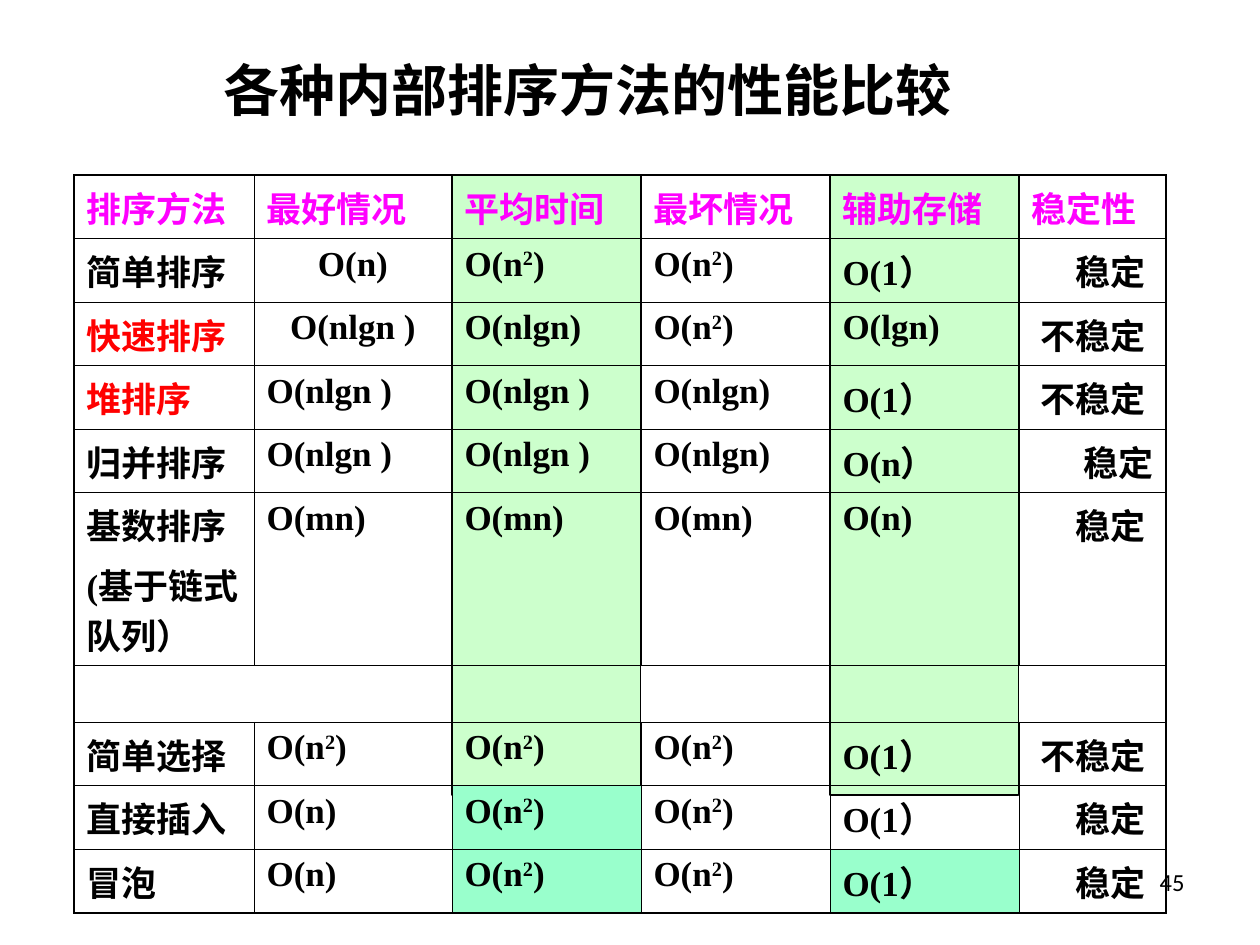
from lxml import etree
from pptx import Presentation
from pptx.dml.color import RGBColor
from pptx.enum.shapes import MSO_SHAPE
from pptx.enum.text import MSO_ANCHOR, PP_ALIGN
from pptx.oxml.ns import qn
from pptx.util import Cm, Pt

RECT = MSO_SHAPE.RECTANGLE
TOP, MIDDLE = MSO_ANCHOR.TOP, MSO_ANCHOR.MIDDLE
LEFT, CENTER, RIGHT = PP_ALIGN.LEFT, PP_ALIGN.CENTER, PP_ALIGN.RIGHT

BLACK, RED, MAGENTA = "000000", "FF0000", "FF00FF"
PALE_GREEN, MINT = "CCFFCC", "99FFCC"
THIN, THICK = 0.45, 1.08

TABLE_LEFT, TABLE_TOP = 1.49, 3.53
COLS = [3.63, 3.99, 3.81, 3.81, 3.81, 2.97]
ROWS = [1.28] * 5 + [3.49, 1.14] + [1.28] * 3
BAND_COLS, BAND_HEIGHT = (4, 2), 12.5
GAP_ROW = 6

# "^" marks the next character as superscript
METHODS = [
    ["排序方法", "最好情况", "平均时间", "最坏情况", "辅助存储", "稳定性"],
    ["简单排序", "O(n)", "O(n^2)", "O(n^2)", "O(1）", "稳定 "],
    ["快速排序", "O(nlgn )", "O(nlgn)", "O(n^2)", "O(lgn)", "不稳定 "],
    ["堆排序", "O(nlgn )", "O(nlgn )", "O(nlgn)", "O(1）", "不稳定 "],
    ["归并排序", "O(nlgn )", "O(nlgn )", "O(nlgn)", "O(n）", "稳定"],
    ["基数排序\n(基于链式队列）", "O(mn)", "O(mn)", "O(mn)", "O(n)", "稳定 "],
    [""] * 6,
    ["简单选择", "O(n^2)", "O(n^2)", "O(n^2)", "O(1）", "不稳定 "],
    ["直接插入", "O(n)", "O(n^2)", "O(n^2)", "O(1）", "稳定 "],
    ["冒泡", "O(n)", "O(n^2)", "O(n^2)", "O(1）", "稳定 "],
]
RED_CELLS = {(2, 0), (3, 0)}
CENTERED_CELLS = {(1, 1), (2, 1)}
MINT_CELLS = {(8, 2), (9, 2), (9, 4)}


def rgb(color):
    return RGBColor.from_string(color)


def cell_color(row, col):
    if row == 0:
        return MAGENTA
    return RED if (row, col) in RED_CELLS else BLACK


def cell_align(row, col):
    if (row, col) in CENTERED_CELLS:
        return CENTER
    return RIGHT if row > 0 and col == len(COLS) - 1 else LEFT


class Deck:
    """Holds the table style and the current slide."""

    font, size, space_before = "Times New Roman", 20, 5

    def __init__(self, prs):
        self.slide = prs.slides.add_slide(prs.slide_layouts[6])

    def style(self, p, font, size, color, bold, align):
        p.alignment = align
        p.font.name, p.font.size, p.font.bold = font, Pt(size), bold
        p.font.color.rgb = rgb(color)

    def text(self, x, y, w, h, text, font, size, bold, align, anchor):
        sp = self.slide.shapes.add_textbox(Cm(x), Cm(y), Cm(w), Cm(h))
        tf = sp.text_frame
        tf.word_wrap = True
        tf.vertical_anchor = anchor
        p = tf.paragraphs[0]
        p.text = text
        self.style(p, font, size, BLACK, bold, align)

    def band(self, x, y, w, h):
        sp = self.slide.shapes.add_shape(RECT, Cm(x), Cm(y), Cm(w), Cm(h))
        sp.shadow.inherit = False
        sp.fill.solid()
        sp.fill.fore_color.rgb = rgb(PALE_GREEN)
        sp.line.color.rgb = rgb(BLACK)
        sp.line.width = Pt(0.75)

    def table(self, x, y):
        frame = self.slide.shapes.add_table(
            len(ROWS), len(COLS), Cm(x), Cm(y), Cm(sum(COLS)), Cm(sum(ROWS)))
        table = frame.table
        table.first_row = table.horz_banding = False
        for column, width in zip(table.columns, COLS):
            column.width = Cm(width)
        for row, height in zip(table.rows, ROWS):
            row.height = Cm(height)
        table.cell(GAP_ROW, 0).merge(table.cell(GAP_ROW, len(COLS) - 1))
        for i, texts in enumerate(METHODS):
            for j, text in enumerate(texts):
                cell = table.cell(i, j)
                if not cell.is_spanned:
                    self.borders(cell, i, j)
                if (i, j) in MINT_CELLS:
                    cell.fill.solid()
                    cell.fill.fore_color.rgb = rgb(MINT)
                else:
                    cell.fill.background()
                if text:
                    self.cell_text(cell, text, cell_color(i, j), cell_align(i, j))

    def cell_text(self, cell, text, color, align):
        tf = cell.text_frame
        for n, line in enumerate(text.split("\n")):
            p = tf.add_paragraph() if n else tf.paragraphs[0]
            base, _, rest = line.partition("^")
            for part, baseline in ((base, 0), (rest[:1], 30000), (rest[1:], 0)):
                if part:
                    r = p.add_run()
                    r.text = part
                    if baseline:
                        r._r.get_or_add_rPr().set("baseline", str(baseline))
            p.space_before = Pt(self.space_before)
            self.style(p, self.font, self.size, color, True, align)

    def borders(self, cell, row, col):
        """Draws thick lines on the outer edge of the table and thin ones inside."""
        last_col = len(COLS) - 1
        outer = {"L": col == 0, "R": col == last_col or row == GAP_ROW,
                 "T": row == 0, "B": row == len(ROWS) - 1}
        tc_pr = cell._tc.get_or_add_tcPr()
        for side, is_outer in outer.items():
            width = Pt(THICK if is_outer else THIN)
            ln = etree.SubElement(tc_pr, qn(f"a:ln{side}"), w=str(width))
            fill = etree.SubElement(ln, qn("a:solidFill"))
            etree.SubElement(fill, qn("a:srgbClr"), val=BLACK)


def main():
    prs = Presentation()
    prs.slide_width, prs.slide_height = Cm(25.4), Cm(19.05)
    deck = Deck(prs)
    deck.text(18.2, 17.35, 5.93, 1.32, "45", "Calibri", 14, False, RIGHT, TOP)
    for col in BAND_COLS:
        deck.band(TABLE_LEFT + sum(COLS[:col]), TABLE_TOP, COLS[col], BAND_HEIGHT)
    deck.text(0.85, 1.06, 22.01, 1.48, "各种内部排序方法的性能比较",
              "Arial", 32, True, CENTER, MIDDLE)
    deck.table(TABLE_LEFT, TABLE_TOP)
    prs.save("out.pptx")


if __name__ == "__main__":
    main()
